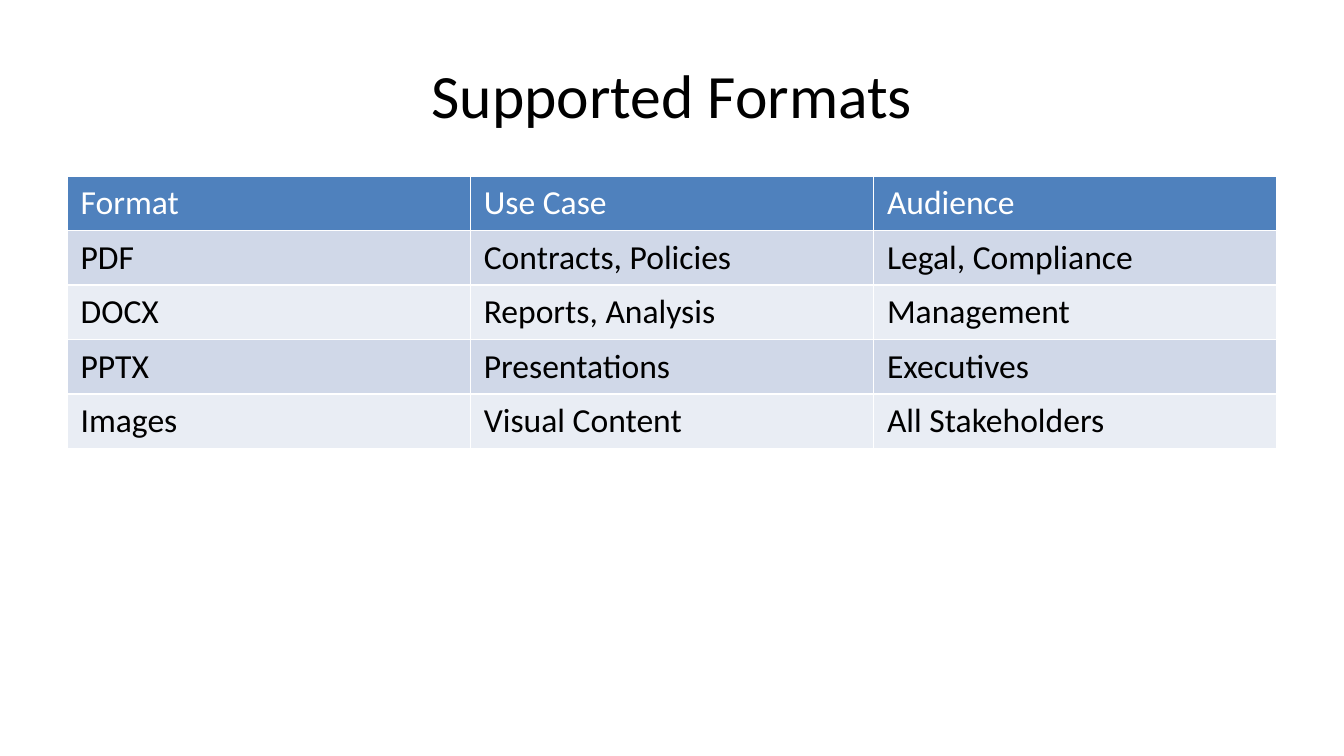
from dataclasses import dataclass

from pptx import Presentation
from pptx.dml.color import RGBColor as Rgb
from pptx.enum.text import MSO_ANCHOR as Anchor, PP_ALIGN as Align
from pptx.util import Inches, Pt


@dataclass(frozen=True)
class Theme:
    font: str = "Calibri"
    ink: str = "000000"
    light: str = "FFFFFF"
    head: str = "4F81BD"
    bands: tuple = ("D0D8E8", "E9EDF4")
    title: int = 33
    body: int = 18


class Deck:
    """Holds the theme and the current slide."""

    def __init__(self, theme):
        self.theme = theme
        self.prs = Presentation()
        # Widescreen, 16 to 9
        self.prs.slide_width = Inches(10)
        self.prs.slide_height = Inches(10 * 9 / 16)
        self.slide = self.prs.slides.add_slide(self.prs.slide_layouts[5])

    def run(self, para, text, size, color):
        run = para.add_run()
        run.text = text
        font = run.font
        font.name, font.size, font.bold = self.theme.font, Pt(size), False
        font.color.rgb = Rgb.from_string(color)

    def title(self, text, left, top, width, height):
        box = self.slide.shapes.title
        box.left, box.top = Inches(left), Inches(top)
        box.width, box.height = Inches(width), Inches(height)
        frame = box.text_frame
        frame.vertical_anchor = Anchor.MIDDLE
        para = frame.paragraphs[0]
        para.alignment = Align.CENTER
        self.run(para, text, self.theme.title, self.theme.ink)

    def table(self, rows, left, top, width, height):
        look = self.theme
        frame = self.slide.shapes.add_table(
            len(rows), len(rows[0]),
            Inches(left), Inches(top), Inches(width), Inches(height))
        grid = frame.table
        for r, row in enumerate(rows):
            # Rows shrink to fit their text
            grid.rows[r].height = Inches(0)
            # Header first, then alternating bands
            fill = look.bands[(r - 1) % 2] if r else look.head
            color = look.ink if r else look.light
            for c, text in enumerate(row):
                cell = grid.cell(r, c)
                cell.fill.solid()
                cell.fill.fore_color.rgb = Rgb.from_string(fill)
                self.run(cell.text_frame.paragraphs[0], text, look.body, color)
        frame.height = Inches(height)


FORMATS = [
    ("Format", "Use Case", "Audience"),
    ("PDF", "Contracts, Policies", "Legal, Compliance"),
    ("DOCX", "Reports, Analysis", "Management"),
    ("PPTX", "Presentations", "Executives"),
    ("Images", "Visual Content", "All Stakeholders"),
]


def main():
    deck = Deck(Theme())
    # Heading
    deck.title("Supported Formats", 0.5, 0.23, 9, 0.94)
    # Format overview
    deck.table(FORMATS, 0.5, 1.31, 9, 3.71)
    deck.prs.save("out.pptx")


if __name__ == "__main__":
    main()
